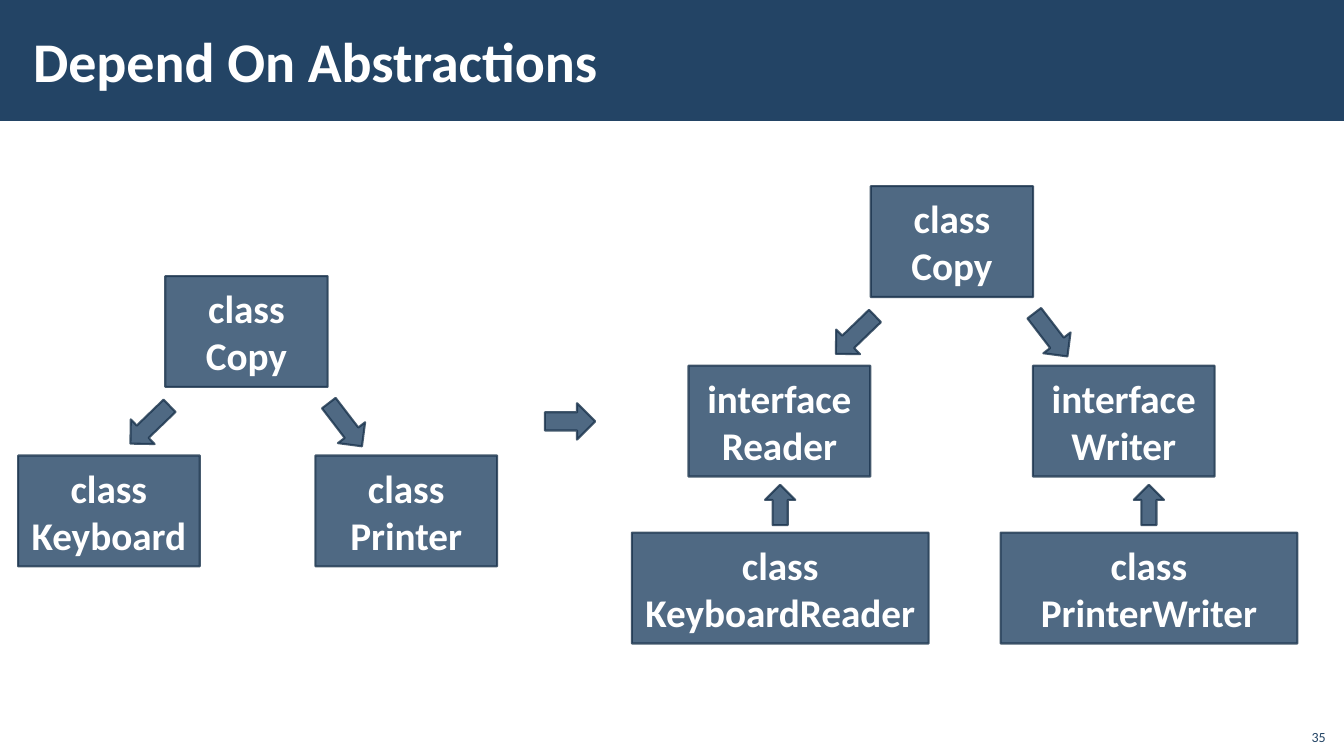
from dataclasses import dataclass

from lxml import etree
from pptx import Presentation
from pptx.dml.color import RGBColor
from pptx.enum.shapes import MSO_SHAPE
from pptx.enum.text import MSO_ANCHOR, PP_ALIGN
from pptx.oxml.ns import qn
from pptx.util import Pt


@dataclass(frozen=True)
class Theme:
    """Colours, font and type sizes of the slide."""
    navy: RGBColor = RGBColor(0x23, 0x44, 0x65)
    outline: RGBColor = RGBColor(0x1A, 0x33, 0x4C)
    white: RGBColor = RGBColor(0xFF, 0xFF, 0xFF)
    font: str = "Calibri"
    title: int = 40
    label: int = 28
    number: int = 10
    opacity: int = 80


THEME = Theme()
TITLE = "Depend On Abstractions"
SLIDE_NUMBER = "35"
WIDTH, HEIGHT, BAND_HEIGHT = 960, 540, 86.4
BOX_HEIGHT = 79.2
ROOT_WIDTH, CHILD_WIDTH, LEAF_WIDTH = 116, 129.8, 212
CHILD_DROP, LEAF_DROP = 128.2, 247.5  # from the top of the root box

# Each tree: root centre x and top, then children and leaves as (kind, name, centre x)
TREES = [
    {"root": ("class", "Copy", 176.1), "top": 197.2,
     "children": [("class", "Keyboard", 77.8), ("class", "Printer", 290.2)],
     "leaves": []},
    {"root": ("class", "Copy", 680), "top": 133,
     "children": [("interface", "Reader", 556.7), ("interface", "Writer", 802.7)],
     "leaves": [("class", "KeyboardReader", 557.3), ("class", "PrinterWriter", 820.7)]},
]
# Arrows from root to children: centre offset from root centre x, and rotation
BRANCHES = [(-69, 136), (70.6, 52.5)]
BRANCH_DROP, BRANCH_SIZE = 106.2, (38.9, 24.5)
IMPLEMENTS_DROP, IMPLEMENTS_SIZE = 227.7, (21.6, 28.8)


def write(frame, lines, size, color, align, bold=True):
    """Fill a text frame with one paragraph per line."""
    for i, line in enumerate(lines):
        paragraph = frame.paragraphs[0] if i == 0 else frame.add_paragraph()
        paragraph.alignment = align
        run = paragraph.add_run()
        run.text = line
        run.font.name, run.font.size, run.font.bold = THEME.font, Pt(size), bold
        run.font.color.rgb = color


def add_block(shapes, preset, cx, cy, size, rotation=0):
    """Add a translucent navy shape centred on (cx, cy)."""
    w, h = size
    block = shapes.add_shape(preset, Pt(cx - w / 2), Pt(cy - h / 2), Pt(w), Pt(h))
    block.rotation = rotation
    block.shadow.inherit = False
    block.fill.solid()
    block.fill.fore_color.rgb = THEME.navy
    block.line.color.rgb = THEME.outline
    block.line.width = Pt(1.5)
    for color in block.element.spPr.iter(qn("a:srgbClr")):
        etree.SubElement(color, qn("a:alpha"), val=str(THEME.opacity * 1000))
    return block


def add_box(shapes, node, top, width):
    """Add a class or interface box with its kind above its name."""
    kind, name, cx = node
    box = add_block(shapes, MSO_SHAPE.RECTANGLE, cx, top + BOX_HEIGHT / 2, (width, BOX_HEIGHT))
    box.text_frame.vertical_anchor = MSO_ANCHOR.MIDDLE
    write(box.text_frame, (kind, name), THEME.label, THEME.white, PP_ALIGN.CENTER)


def add_tree(slide, tree):
    """Add one grouped dependency tree."""
    shapes = slide.shapes.add_group_shape().shapes
    top, root_x = tree["top"], tree["root"][2]
    add_box(shapes, tree["root"], top, ROOT_WIDTH)
    for child in tree["children"]:
        add_box(shapes, child, top + CHILD_DROP, CHILD_WIDTH)
    for offset, angle in BRANCHES:
        add_block(shapes, MSO_SHAPE.RIGHT_ARROW, root_x + offset, top + BRANCH_DROP,
                  BRANCH_SIZE, angle)
    for leaf in tree["leaves"]:
        add_box(shapes, leaf, top + LEAF_DROP, LEAF_WIDTH)
        add_block(shapes, MSO_SHAPE.UP_ARROW, leaf[2], top + IMPLEMENTS_DROP, IMPLEMENTS_SIZE)


def add_header(slide):
    """Add the navy band behind the title placeholder."""
    band = slide.shapes.add_shape(MSO_SHAPE.RECTANGLE, 0, 0, Pt(WIDTH), Pt(BAND_HEIGHT))
    band.shadow.inherit = False
    band.fill.solid()
    band.fill.fore_color.rgb = THEME.navy
    band.line.fill.background()
    title = slide.shapes.title
    title.element.addprevious(band.element)
    title.left, title.top, title.width, title.height = Pt(15), Pt(8), Pt(765), Pt(70)
    frame = title.text_frame
    frame.margin_left = frame.margin_right = Pt(8.64)
    frame.margin_top = frame.margin_bottom = Pt(3)
    frame.vertical_anchor = MSO_ANCHOR.MIDDLE
    write(frame, [TITLE], THEME.title, THEME.white, PP_ALIGN.LEFT)


def add_number(slide):
    """Add the slide number at the bottom right."""
    frame = slide.shapes.add_textbox(Pt(925), Pt(512.6), Pt(29), Pt(23)).text_frame
    frame.word_wrap = True
    frame.vertical_anchor = MSO_ANCHOR.BOTTOM
    write(frame, [SLIDE_NUMBER], THEME.number, THEME.navy, PP_ALIGN.RIGHT, bold=False)


def main():
    """Build and save the slide."""
    deck = Presentation()
    deck.slide_width, deck.slide_height = Pt(WIDTH), Pt(HEIGHT)
    slide = deck.slides.add_slide(deck.slide_layouts[5])
    add_header(slide)
    add_number(slide)
    for tree in TREES:
        add_tree(slide, tree)
    add_block(slide.shapes, MSO_SHAPE.RIGHT_ARROW, 407.2, 301, (36, 26))
    deck.save("out.pptx")


main()
